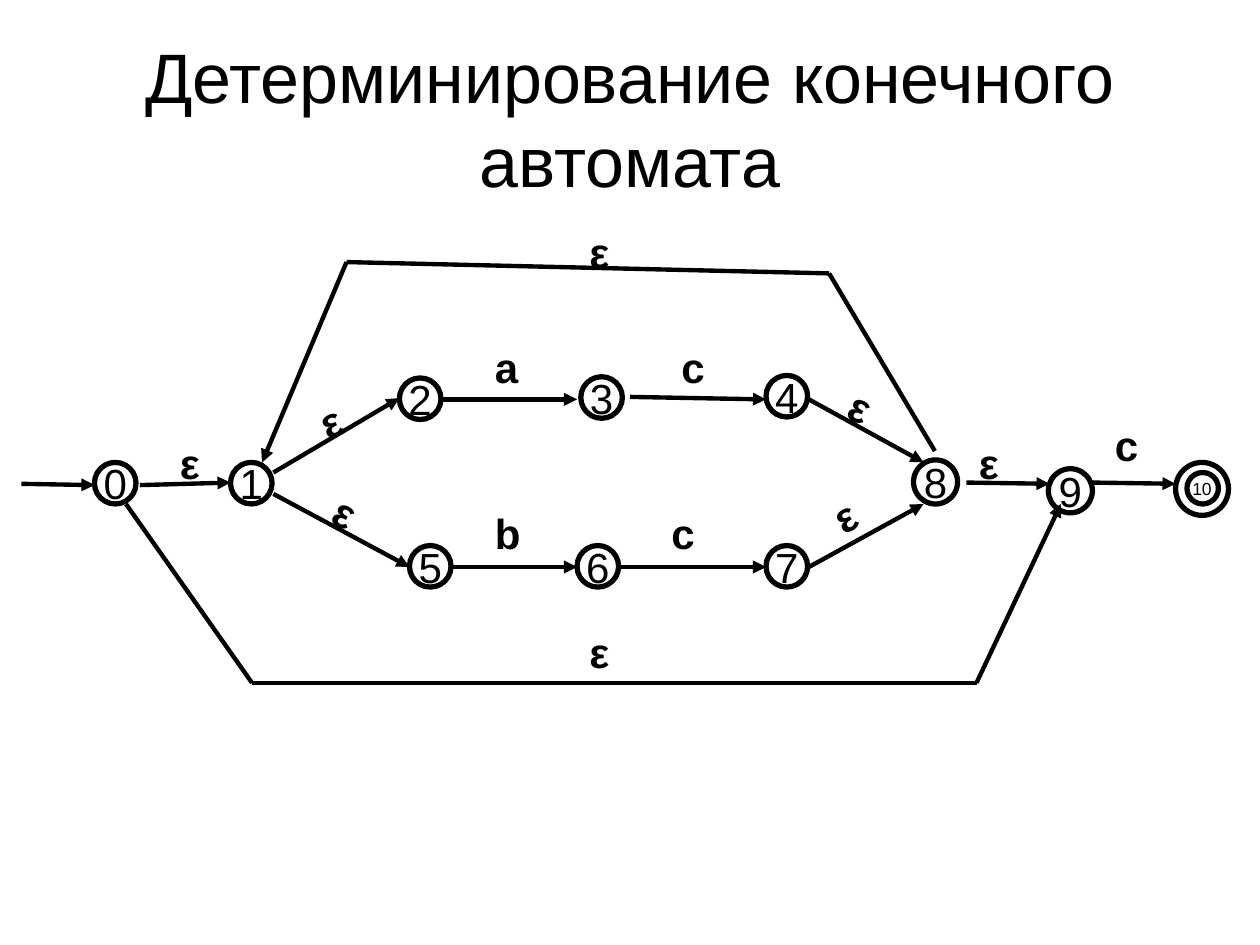
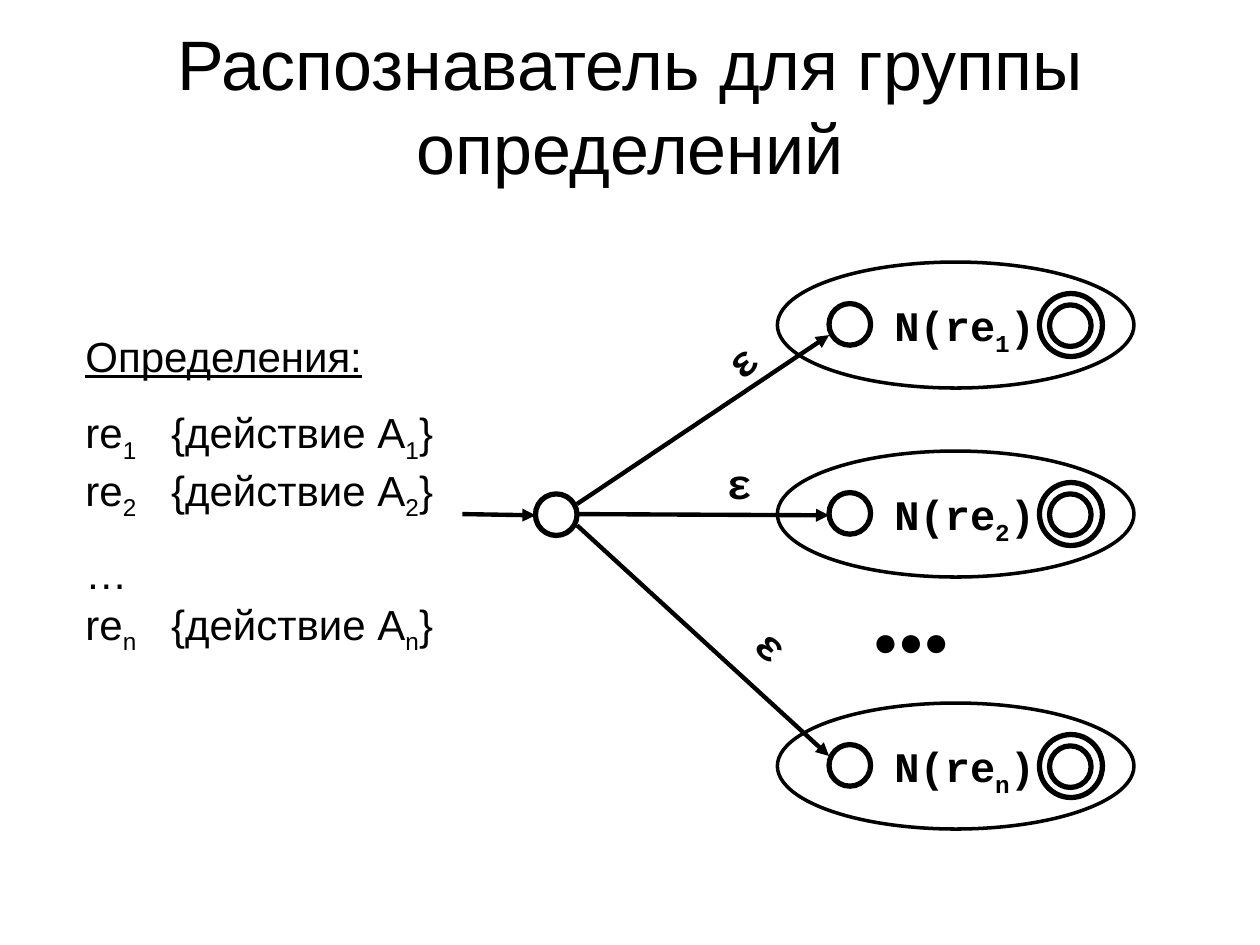
from dataclasses import dataclass
from itertools import pairwise

from lxml import etree
from pptx import Presentation
from pptx import util as u
from pptx.dml.color import RGBColor
from pptx.enum import shapes, text
from pptx.oxml.ns import qn

EMU_PER_PX = 9144  # 100 px to the inch


@dataclass(frozen=True)
class Theme:
    ink: RGBColor = RGBColor(0, 0, 0)
    sans: str = "Arial"
    mono: str = "Courier New"
    title_size: int = 40
    body_size: int = 24
    small_size: int = 10
    state_line: float = 3
    edge_line: float = 2.5
    group_line: float = 2
    paragraph_gap: int = 15


THEME = Theme()


@dataclass(frozen=True)
class State:
    left: int
    top: int
    size: int = 33
    label: str = ""
    label_size: int = THEME.body_size


@dataclass(frozen=True)
class Edge:
    """A chain of straight lines with an arrowhead at its last point."""
    points: tuple[tuple[int, int], ...]


@dataclass(frozen=True)
class Symbol:
    """The input symbol that marks an edge."""
    left: int
    top: int
    label: str = "ε"
    rotation: int = 0


@dataclass(frozen=True)
class Recogniser:
    top: int
    index: str


STATES = (
    State(75, 367, label="0"), State(183, 367, label="1"),
    State(317, 300, label="2"), State(461, 299, label="3"),
    State(608, 298, label="4"), State(325, 433, label="5"),
    State(458, 433, label="6"), State(608, 433, label="7"),
    State(725, 365, 35, "8"), State(832, 372, 35, "9"),
    State(933, 367, 42, "10", THEME.small_size), State(942, 375, 25),
)
EDGES = (
    Edge(((17, 384), (75, 385))),
    Edge(((111, 385), (183, 383))),
    Edge(((217, 375), (317, 316))),
    Edge(((350, 317), (458, 317))),
    Edge(((500, 315), (608, 317))),
    Edge(((642, 317), (733, 367))),
    Edge(((217, 392), (325, 450))),
    Edge(((358, 450), (458, 450))),
    Edge(((492, 450), (608, 450))),
    Edge(((642, 450), (733, 400))),
    Edge(((767, 383), (833, 384))),
    Edge(((867, 383), (933, 384))),
    Edge(((742, 358), (658, 217), (275, 208), (208, 367))),
    Edge(((100, 400), (200, 542), (775, 542), (842, 400))),
)
SYMBOLS = (
    Symbol(133, 342), Symbol(767, 342), Symbol(458, 175), Symbol(458, 492),
    Symbol(244, 308, rotation=336), Symbol(256, 383, rotation=27),
    Symbol(665, 299, rotation=25), Symbol(652, 383, rotation=330),
    Symbol(383, 266, "a"), Symbol(531, 266, "c"),
    Symbol(383, 398, "b"), Symbol(523, 398, "c"), Symbol(875, 328, "c"),
)

RECOGNISERS = (Recogniser(208, "1"), Recogniser(358, "2"), Recogniser(558, "n"))
START = State(425, 392)
START_EDGES = (
    Edge(((367, 408), (425, 409))),
    Edge(((458, 400), (658, 266))),
    Edge(((458, 408), (658, 409))),
    Edge(((458, 417), (658, 600))),
)
START_SYMBOLS = (
    Symbol(567, 258, rotation=318), Symbol(567, 358), Symbol(592, 491, rotation=44),
)
DEFINITIONS = (
    "re|1|\t{действие A|1|}\vre|2|\t{действие A|2|}",
    "…\vre|n|\t{действие A|n|}",
)
ACTION_TAB = 68


def px(length: int) -> u.Emu:
    return u.Emu(length * EMU_PER_PX)


def write(paragraph, content: str, *, size: int = THEME.body_size, font: str = THEME.sans,
          bold: bool = False, underline: bool = False, align=text.PP_ALIGN.LEFT) -> None:
    """Fill a paragraph; |x| sets x as a subscript and \\v breaks the line."""
    paragraph.alignment = align
    for position, part in enumerate(content.split("|")):
        for line_number, line in enumerate(part.split("\v")):
            if line_number:
                paragraph.add_line_break()
            run = paragraph.add_run()
            run.text = line
            run.font.size = u.Pt(size)
            run.font.name = font
            run.font.bold = bold
            run.font.underline = underline
            run.font.color.rgb = THEME.ink
            if position % 2:
                run.font._element.set("baseline", "-25000")


def add_text(slide, left: int, top: int, width: int, height: int, content: str,
             *, rotation: int = 0, **style):
    box = slide.shapes.add_textbox(px(left), px(top), px(width), px(height))
    box.rotation = rotation
    box.text_frame.word_wrap = True
    write(box.text_frame.paragraphs[0], content, **style)
    return box.text_frame


def add_ellipse(slide, left: int, top: int, width: int, height: int, line_width: float):
    ellipse = slide.shapes.add_shape(shapes.MSO_SHAPE.OVAL, px(left), px(top), px(width), px(height))
    ellipse.shadow.inherit = False
    ellipse.fill.background()
    ellipse.line.color.rgb = THEME.ink
    ellipse.line.width = u.Pt(line_width)
    return ellipse


def add_state(slide, state: State) -> None:
    circle = add_ellipse(slide, state.left, state.top, state.size, state.size, THEME.state_line)
    if state.label:
        frame = circle.text_frame
        frame.word_wrap = False
        frame.vertical_anchor = text.MSO_ANCHOR.MIDDLE
        write(frame.paragraphs[0], state.label, size=state.label_size, align=text.PP_ALIGN.CENTER)


def add_edge(slide, edge: Edge) -> None:
    for (x1, y1), (x2, y2) in pairwise(edge.points):
        line = slide.shapes.add_connector(
            shapes.MSO_CONNECTOR.STRAIGHT, px(x1), px(y1), px(x2), px(y2))
        line.line.color.rgb = THEME.ink
        line.line.width = u.Pt(THEME.edge_line)
        etree.SubElement(line._element.spPr, qn("a:effectLst"))
    etree.SubElement(line.line._get_or_add_ln(), qn("a:tailEnd"), type="triangle")


def add_symbol(slide, symbol: Symbol, width: int, font: str) -> None:
    add_text(slide, symbol.left, symbol.top, width, 50, symbol.label,
             rotation=symbol.rotation, font=font, bold=True)


def add_recogniser(slide, recogniser: Recogniser) -> None:
    top = recogniser.top
    add_ellipse(slide, 617, top, 283, 100, THEME.group_line)
    for state in (State(658, top + 33), State(833, top + 34), State(825, top + 25, 50)):
        add_state(slide, state)
    add_text(slide, 700, top + 25, 142, 56, f"N(re|{recogniser.index}|)",
             font=THEME.mono, bold=True)


def add_definitions(slide) -> None:
    frame = add_text(slide, 58, 257, 300, 329, "Определения:", underline=True)
    for definition in DEFINITIONS:
        paragraph = frame.add_paragraph()
        paragraph.space_before = u.Pt(THEME.paragraph_gap)
        tabs = etree.SubElement(paragraph._p.get_or_add_pPr(), qn("a:tabLst"))
        etree.SubElement(tabs, qn("a:tab"), pos=str(px(ACTION_TAB)), algn="l")
        write(paragraph, definition)


def add_titled_slide(deck, heading: str, top: int):
    slide = deck.slides.add_slide(deck.slide_layouts[5])
    title = slide.shapes.title
    title.left, title.top, title.width, title.height = px(50), px(top), px(900), px(144)
    title.text_frame.word_wrap = True
    title.text_frame.vertical_anchor = text.MSO_ANCHOR.MIDDLE
    write(title.text_frame.paragraphs[0], heading,
          size=THEME.title_size, align=text.PP_ALIGN.CENTER)
    return slide


def build_automaton(deck) -> None:
    slide = add_titled_slide(deck, "Детерминирование конечного автомата", 21)
    for state in STATES:
        add_state(slide, state)
    for edge in EDGES:
        add_edge(slide, edge)
    for symbol in SYMBOLS:
        add_symbol(slide, symbol, 42, THEME.sans)


def build_group_recogniser(deck) -> None:
    slide = add_titled_slide(deck, "Распознаватель для группы определений", 11)
    add_definitions(slide)
    add_state(slide, START)
    for recogniser in RECOGNISERS:
        add_recogniser(slide, recogniser)
    for edge in START_EDGES:
        add_edge(slide, edge)
    for symbol in START_SYMBOLS:
        add_symbol(slide, symbol, 50, THEME.mono)
    add_text(slide, 683, 483, 167, 50, "●●●")


def main() -> None:
    deck = Presentation()
    deck.slide_width, deck.slide_height = px(1000), px(750)
    build_automaton(deck)
    build_group_recogniser(deck)
    deck.save("out.pptx")


if __name__ == "__main__":
    main()
